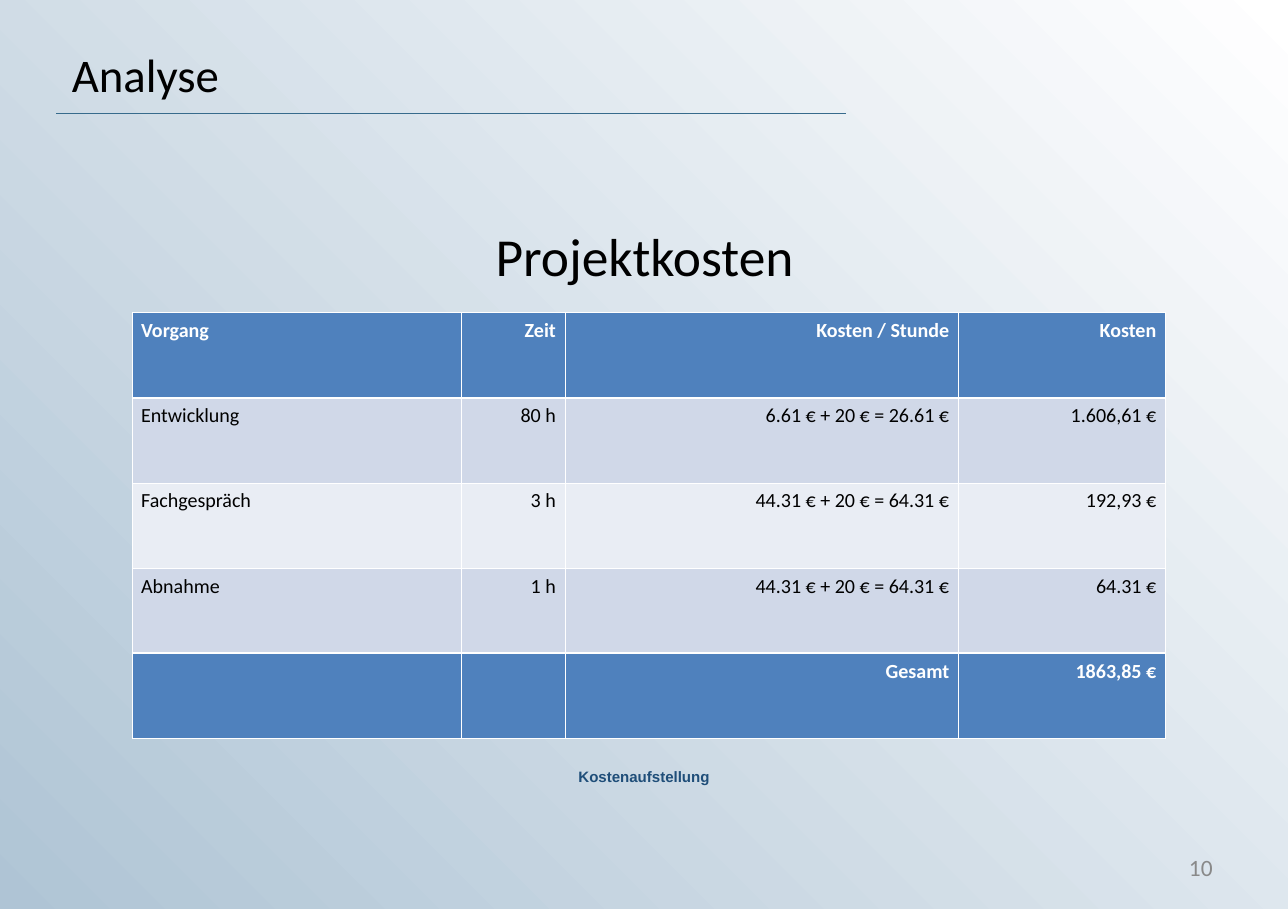
from dataclasses import dataclass

from lxml import etree
from pptx import Presentation
from pptx.dml.color import RGBColor
from pptx.enum.shapes import MSO_CONNECTOR
from pptx.enum.text import MSO_ANCHOR, PP_ALIGN
from pptx.oxml import parse_xml
from pptx.oxml.ns import nsdecls, qn
from pptx.util import Cm, Pt


@dataclass(frozen=True)
class Theme:
    font: str = "Calibri"
    caption_font: str = "Arial"
    black: str = "000000"
    white: str = "FFFFFF"
    grey: str = "898989"
    caption: str = "1F4E79"
    rule: str = "376B8C"
    backdrop: tuple = ("AFC4D5", "FFFFFF")
    accent: str = "4F81BD"
    bands: tuple = ("D0D8E8", "E9EDF4")
    title_size: float = 28
    heading_size: float = 32
    number_size: float = 14
    table_size: float = 12
    caption_size: float = 9
    thin: float = 0.45
    thick: float = 1.47


class SlideBuilder:
    def __init__(self, prs, theme):
        self.theme = theme
        self.slide = prs.slides.add_slide(prs.slide_layouts[6])

    def background(self):
        fill = self.slide.background.fill
        fill.gradient()
        fill.gradient_angle = 45
        for stop, color in zip(fill.gradient_stops, self.theme.backdrop):
            stop.color.rgb = RGBColor.from_string(color)

    def rule(self, left, right, y):
        line = self.slide.shapes.add_connector(
            MSO_CONNECTOR.STRAIGHT, Cm(left), Cm(y), Cm(right), Cm(y))
        line.line.color.rgb = RGBColor.from_string(self.theme.rule)
        line.line.width = Pt(0.75)
        etree.SubElement(line._element.spPr, qn("a:effectLst"))

    def set_text(self, tf, text, size, color, align, font=None, bold=False):
        tf.text = text
        p = tf.paragraphs[0]
        p.alignment = align
        for r in p.runs:
            r.font.name = font or self.theme.font
            r.font.size = Pt(size)
            r.font.bold = bold
            r.font.color.rgb = RGBColor.from_string(color)

    def text(self, box, text, size, color, align=PP_ALIGN.LEFT,
             anchor=MSO_ANCHOR.TOP, inset_top=0.13, wrap=True, **style):
        sp = self.slide.shapes.add_textbox(*map(Cm, box))
        tf = sp.text_frame
        tf.word_wrap = wrap
        tf.vertical_anchor = anchor
        tf.margin_top = Cm(inset_top)
        self.set_text(tf, text, size, color, align, **style)

    def borders(self, cell, top, bottom):
        """Draw white cell edges; only the horizontal ones vary in width."""
        thin = self.theme.thin
        widths = {"lnL": thin, "lnR": thin, "lnT": top, "lnB": bottom}
        tc_pr = cell._tc.get_or_add_tcPr()
        for tag, width in widths.items():
            tc_pr.append(parse_xml(
                f'<a:{tag} {nsdecls("a")} w="{Pt(width)}"><a:solidFill>'
                f'<a:srgbClr val="{self.theme.white}"/></a:solidFill></a:{tag}>'))

    def table(self, left, top, widths, row_height, rows):
        """Add a table whose first and last rows are emphasised."""
        t = self.theme
        last = len(rows) - 1
        table = self.slide.shapes.add_table(
            len(rows), len(widths), Cm(left), Cm(top),
            Cm(sum(widths)), Cm(row_height * len(rows))).table
        table.horz_banding = False
        for column, width in zip(table.columns, widths):
            column.width = Cm(width)
        for i, values in enumerate(rows):
            table.rows[i].height = Cm(row_height)
            strong = i in (0, last)
            for j, value in enumerate(values):
                cell = table.cell(i, j)
                self.borders(cell,
                             t.thick if i in (1, last) else t.thin,
                             t.thick if i in (0, last - 1) else t.thin)
                cell.fill.solid()
                cell.fill.fore_color.rgb = RGBColor.from_string(
                    t.accent if strong else t.bands[(i - 1) % 2])
                cell.margin_left = cell.margin_right = Cm(0.19)
                self.set_text(cell.text_frame, value, t.table_size,
                              t.white if strong else t.black,
                              PP_ALIGN.RIGHT if j else PP_ALIGN.JUSTIFY,
                              bold=strong)


COSTS = [
    ("Vorgang", "Zeit", "Kosten / Stunde", "Kosten"),
    ("Entwicklung", "80 h", "6.61 € + 20 € = 26.61 €", "1.606,61 €"),
    ("Fachgespräch", "3 h", "44.31 € + 20 € = 64.31 €", "192,93 €"),
    ("Abnahme", "1 h", "44.31 € + 20 € = 64.31 €", "64.31 €"),
    ("", "", "Gesamt", "1863,85 €"),
]


def main():
    prs = Presentation()
    prs.slide_width, prs.slide_height = Cm(27.2), Cm(19.2)
    t = Theme()
    s = SlideBuilder(prs, t)
    s.background()
    s.rule(1.19, 17.86, 2.39)
    s.text((1.27, 0.76, 22.86, 3.18), "Analyse", t.title_size, t.black,
           inset_top=0.2)
    s.text((1.37, 4.52, 24.49, 12.67), "Projektkosten", t.heading_size, t.black,
           PP_ALIGN.CENTER, inset_top=0.2)
    s.text((19.51, 17.81, 6.35, 1.02), "10", t.number_size, t.grey,
           PP_ALIGN.RIGHT, MSO_ANCHOR.MIDDLE)
    s.text((11.96, 16.08, 3.28, 0.64), "Kostenaufstellung", t.caption_size,
           t.caption, PP_ALIGN.CENTER, MSO_ANCHOR.MIDDLE, wrap=False,
           font=t.caption_font, bold=True)
    s.table(2.79, 6.6, (6.96, 2.18, 8.31, 4.37), 1.8, COSTS)
    prs.save("out.pptx")


if __name__ == "__main__":
    main()
